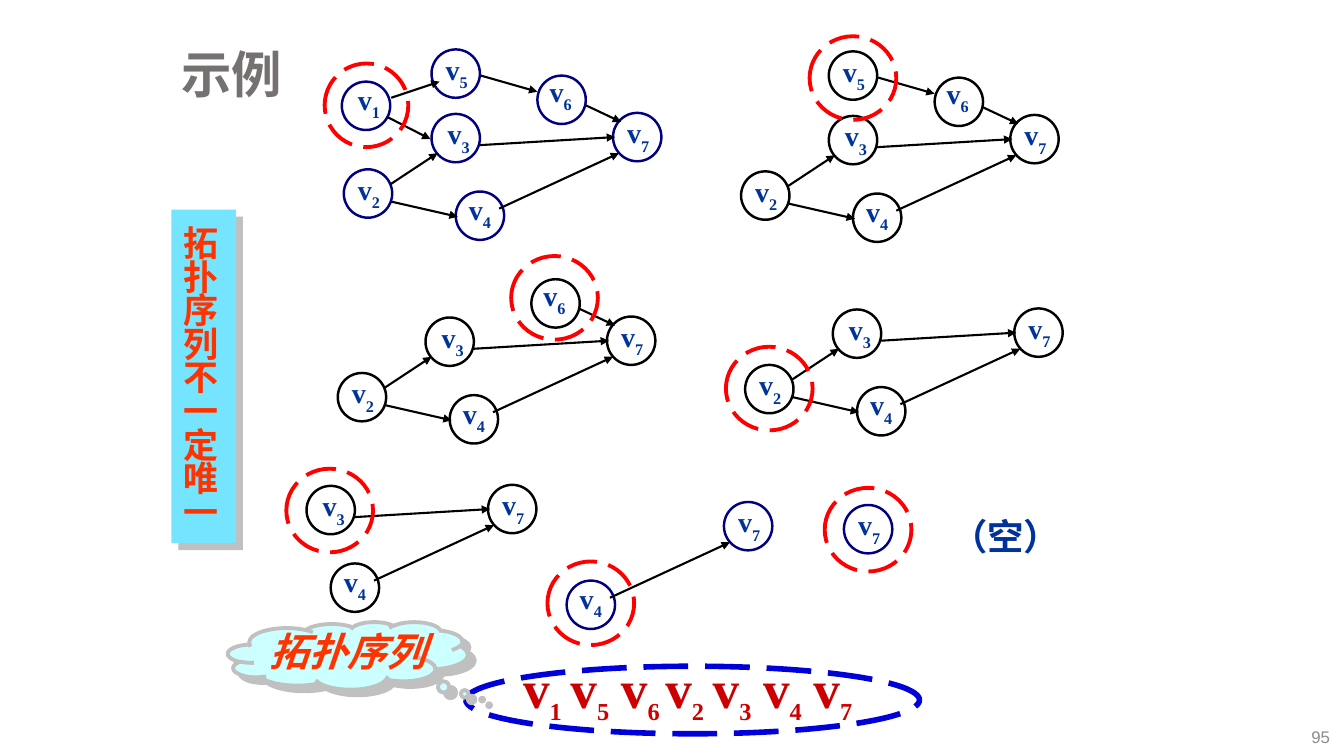
from dataclasses import dataclass

from lxml.etree import SubElement
from pptx import Presentation
from pptx.dml.color import RGBColor
from pptx.enum.dml import MSO_LINE
from pptx.enum.shapes import MSO_CONNECTOR, MSO_SHAPE
from pptx.enum.text import MSO_ANCHOR, MSO_AUTO_SIZE, PP_ALIGN
from pptx.oxml import parse_xml
from pptx.oxml.ns import nsdecls, qn
from pptx.util import Inches, Pt

BLACK = RGBColor(0x00, 0x00, 0x00)
NAVY = RGBColor(0x00, 0x00, 0x80)
INK_BLUE = RGBColor(0x00, 0x33, 0x99)
OVAL_BLUE = RGBColor(0x00, 0x00, 0xD8)
RING_RED = RGBColor(0xFF, 0x00, 0x00)
ORDER_RED = RGBColor(0xCC, 0x00, 0x00)
ORANGE = RGBColor(0xFF, 0x33, 0x00)
PALE_CYAN = RGBColor(0xCC, 0xFF, 0xFF)
CYAN = RGBColor(0x75, 0xE5, 0xFF)
SILVER = RGBColor(0xC0, 0xC0, 0xC0)
TITLE_GREY = RGBColor(0x76, 0x71, 0x71)
NUMBER_GREY = RGBColor(0x8C, 0x8C, 0x8C)
SERIF = "Times New Roman"
SANS = "Arial"
NODE_SIZE = 0.48
LABEL_SIZE = 0.44
RING_HEIGHT = 0.83


@dataclass(frozen=True)
class Vertex:
    left: float
    top: float
    label_dx: float
    label_dy: float


@dataclass(frozen=True)
class Edge:
    source: str
    target: str
    start: tuple[float, float]
    end: tuple[float, float]


@dataclass(frozen=True)
class Stage:
    removed: str
    dx: float
    dy: float
    outline: RGBColor
    ring: tuple[float, float, float]
    order_left: float


VERTICES = {
    "1": Vertex(3.39, 0.81, 0.05, -0.04),
    "2": Vertex(3.41, 1.68, 0.03, -0.02),
    "3": Vertex(4.28, 1.13, 0.05, -0.02),
    "4": Vertex(4.52, 1.9, 0.02, -0.04),
    "5": Vertex(4.28, 0.49, 0.03, -0.02),
    "6": Vertex(5.33, 0.75, 0.01, -0.06),
    "7": Vertex(6.08, 1.12, 0.03, -0.02),
}
EDGES = [
    Edge("2", "3", (3.87, 1.83), (4.34, 1.52)),
    Edge("1", "3", (3.84, 1.16), (4.27, 1.38)),
    Edge("2", "4", (3.88, 2), (4.54, 2.15)),
    Edge("5", "6", (4.77, 0.75), (5.33, 0.91)),
    Edge("3", "7", (4.76, 1.44), (6.1, 1.36)),
    Edge("6", "7", (5.8, 1.04), (6.16, 1.21)),
    Edge("4", "7", (4.95, 2.07), (6.14, 1.52)),
    Edge("1", "5", (3.88, 0.97), (4.36, 0.81)),
]
STAGES = [
    Stage("1", 0, 0, NAVY, (3.22, 0.63, 0.83), 5.09),
    Stage("5", 3.94, 0.02, BLACK, (8.03, 0.36, 0.86), 5.56),
    Stage("6", -0.06, 2.02, BLACK, (5.07, 2.54, 0.86), 6.06),
    Stage("2", 3.98, 1.94, BLACK, (7.2, 3.44, 0.86), 6.5),
    Stage("3", -1.24, 3.69, BLACK, (2.84, 4.65, 0.86), 6.97),
    Stage("4", 1.1, 3.86, NAVY, (5.43, 5.57, 0.86), 7.47),
    Stage("7", 2.29, 3.89, NAVY, (8.18, 4.84, 0.86), 7.97),
]


def add_box(shapes, left: float, top: float, width: float, height: float,
            wrap: bool = False, grow: bool = True, middle: bool = False):
    box = shapes.add_textbox(Inches(left), Inches(top), Inches(width), Inches(height))
    frame = box.text_frame
    frame.word_wrap = wrap
    frame.auto_size = MSO_AUTO_SIZE.SHAPE_TO_FIT_TEXT if grow else MSO_AUTO_SIZE.NONE
    frame.vertical_anchor = MSO_ANCHOR.MIDDLE if middle else MSO_ANCHOR.TOP
    return frame


def add_span(para, text: str, size: float, color: RGBColor, font: str = SERIF,
             bold: bool = True):
    span = para.add_run()
    span.text = text
    span.font.size = Pt(size)
    span.font.bold = bold
    span.font.name = font
    span.font.color.rgb = color
    return span


def add_symbol(para, index: str, size: float, index_size: float, color: RGBColor) -> None:
    add_span(para, "v", size, color)
    subscript = add_span(para, index, index_size, color)
    subscript.font._element.set("baseline", "-30000")


def add_outline(shapes, kind: MSO_SHAPE, left: float, top: float, width: float,
                height: float, color: RGBColor, weight: float, dashed: bool = False):
    shape = shapes.add_shape(kind, Inches(left), Inches(top), Inches(width), Inches(height))
    shape.shadow.inherit = False
    shape.fill.background()
    shape.line.color.rgb = color
    shape.line.width = Pt(weight)
    if dashed:
        shape.line.dash_style = MSO_LINE.LONG_DASH
    return shape


def silver_shadow(distance: float, degrees: int):
    return parse_xml(
        f'<a:effectLst {nsdecls("a")}><a:outerShdw blurRad="0" dist="{Pt(distance)}" '
        f'dir="{degrees * 60000}" algn="ctr" rotWithShape="0">'
        f'<a:srgbClr val="{SILVER}"/></a:outerShdw></a:effectLst>')


def cast_shadow(shape, distance: float, degrees: int) -> None:
    properties = shape._element.spPr
    properties.replace(properties.find(qn("a:effectLst")), silver_shadow(distance, degrees))


def add_arrow(shapes, edge: Edge, dx: float, dy: float) -> None:
    (x1, y1), (x2, y2) = edge.start, edge.end
    arrow = shapes.add_connector(MSO_CONNECTOR.STRAIGHT, Inches(x1 + dx), Inches(y1 + dy),
                                 Inches(x2 + dx), Inches(y2 + dy))
    arrow.line.color.rgb = BLACK
    arrow.line.width = Pt(1.5)
    properties = arrow._element.spPr
    SubElement(properties.find(qn("a:ln")), qn("a:tailEnd"), type="triangle")
    SubElement(properties, qn("a:effectLst"))


def draw_stage(page, stage: Stage, remaining: list[str]) -> None:
    graph = page.shapes.add_group_shape().shapes
    for name in remaining:
        vertex = VERTICES[name]
        left, top = vertex.left + stage.dx, vertex.top + stage.dy
        add_outline(graph, MSO_SHAPE.OVAL, left, top, NODE_SIZE, NODE_SIZE,
                    stage.outline, 1.75)
        para = add_box(graph, left + vertex.label_dx, top + vertex.label_dy,
                       LABEL_SIZE, LABEL_SIZE).paragraphs[0]
        para.alignment = PP_ALIGN.CENTER
        add_symbol(para, name, 20, 20, INK_BLUE)
    for edge in EDGES:
        if edge.source in remaining and edge.target in remaining:
            add_arrow(graph, edge, stage.dx, stage.dy)
    left, top, width = stage.ring
    add_outline(page.shapes, MSO_SHAPE.OVAL, left, top, width, RING_HEIGHT,
                RING_RED, 2.75, dashed=True)
    order = add_box(page.shapes, stage.order_left, 6.45, 0.6, 0.73)
    add_symbol(order.paragraphs[0], stage.removed, 38, 30, ORDER_RED)


def draw_order_callout(page) -> None:
    add_outline(page.shapes, MSO_SHAPE.OVAL, 4.62, 6.61, 4.5, 0.67, OVAL_BLUE, 4, dashed=True)
    cloud = add_outline(page.shapes, MSO_SHAPE.CLOUD_CALLOUT, 2.26, 6.17, 2.38, 0.67,
                        SILVER, 2.75)
    cloud.adjustments[0] = 0.56
    cloud.adjustments[1] = 0.65
    cloud.fill.solid()
    cloud.fill.fore_color.rgb = PALE_CYAN
    cast_shadow(cloud, 6.4, 39)
    caption = add_box(page.shapes, 2.57, 6.17, 2.09, 0.57, wrap=True, middle=True)
    add_span(caption.paragraphs[0], "拓扑序列", 28, ORANGE).font.italic = True


def draw_banner(page) -> None:
    panel = add_outline(page.shapes, MSO_SHAPE.RECTANGLE, 1.7, 2.08, 0.64, 3.31, CYAN, 1)
    panel.line.fill.background()
    panel.fill.solid()
    panel.fill.fore_color.rgb = CYAN
    cast_shadow(panel, 7.1, 45)
    frame = add_box(page.shapes, 1.72, 2.23, 0.56, 3.47, wrap=True)
    for number, text in enumerate(["拓", "扑", "序", "列", "不", "一定唯一"]):
        para = frame.add_paragraph() if number else frame.paragraphs[0]
        para.line_spacing = 0.8
        span = add_span(para, text, 25, ORANGE)
        span.font._element.find(qn("a:solidFill")).addnext(silver_shadow(2, 45))


def main() -> None:
    deck = Presentation()
    deck.slide_width, deck.slide_height = Inches(13.33), Inches(7.5)
    page = deck.slides.add_slide(deck.slide_layouts[6])
    title = add_box(page.shapes, 1.7, 0.34, 11.25, 0.85, wrap=True, grow=False, middle=True)
    title.paragraphs[0].line_spacing = 0.9
    add_span(title.paragraphs[0], "示例", 36, TITLE_GREY, SANS)
    number = add_box(page.shapes, 12.82, 7.12, 0.47, 0.38, wrap=True, grow=False, middle=True)
    number.paragraphs[0].alignment = PP_ALIGN.RIGHT
    add_span(number.paragraphs[0], "95", 12, NUMBER_GREY, SANS, bold=False)
    for position, stage in enumerate(STAGES):
        draw_stage(page, stage, [later.removed for later in STAGES[position:]])
    empty = add_box(page.shapes, 9.33, 5.05, 1.29, 0.53, middle=True)
    empty.paragraphs[0].alignment = PP_ALIGN.CENTER
    add_span(empty.paragraphs[0], "（空）", 26, INK_BLUE)
    draw_order_callout(page)
    draw_banner(page)
    deck.save("out.pptx")


if __name__ == "__main__":
    main()
